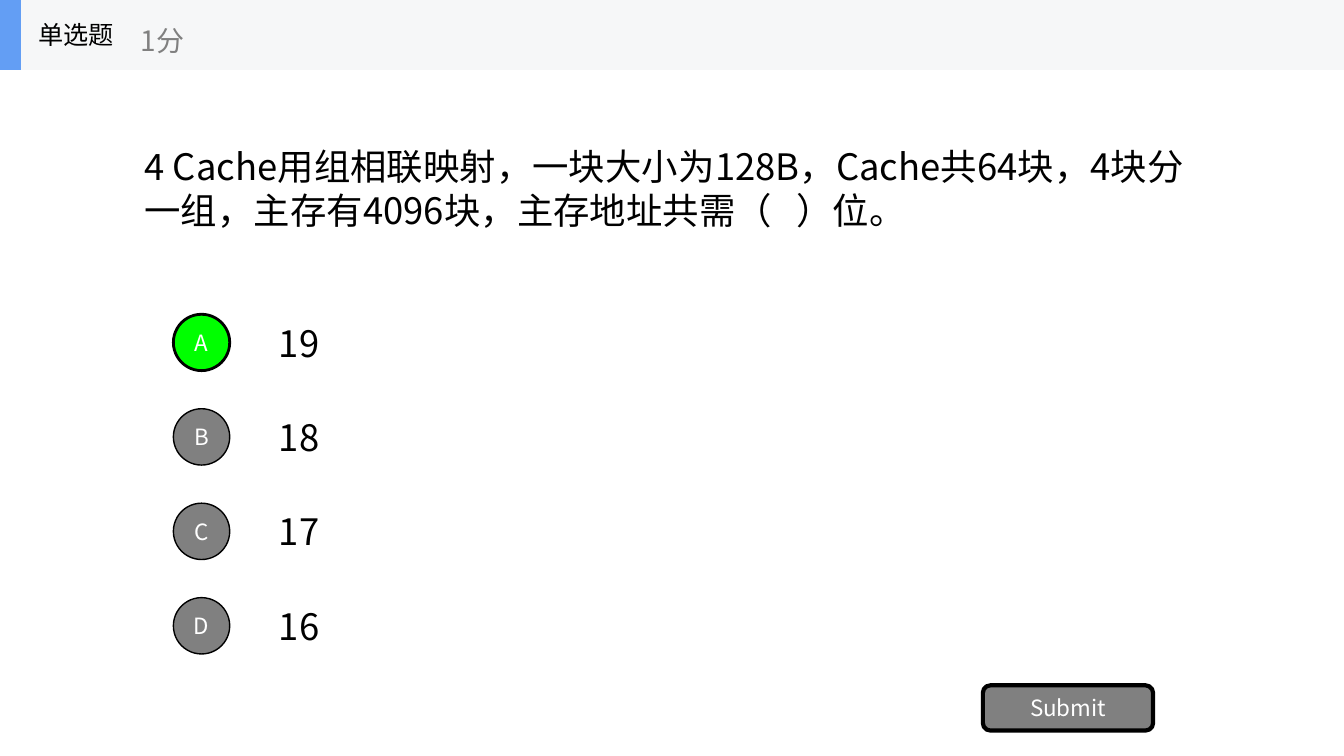
from pptx import Presentation
from pptx.dml.color import RGBColor
from pptx.enum import shapes, text
from pptx.oxml import ns
from pptx.util import Cm, Pt
from lxml import etree

FONT = "Noto Sans CJK SC"
BLACK = RGBColor(0x00, 0x00, 0x00)
WHITE = RGBColor(0xFF, 0xFF, 0xFF)
GREY = RGBColor(0x80, 0x80, 0x80)
GREEN = RGBColor(0x00, 0xFF, 0x00)
BLUE = RGBColor(0x63, 0x9E, 0xF4)
PALE = RGBColor(0xF6, 0xF7, 0xF8)

QUESTION = ("4 Cache用组相联映射，一块大小为128B，Cache共64块，"
            "4块分一组，主存有4096块，主存地址共需（   ）位。")
ANSWERS = {"A": "19", "B": "18", "C": "17", "D": "16"}
CHOSEN = "A"
HEADER_HEIGHT = Cm(1.76)
FIRST_ANSWER_TOP = 7.74
ANSWER_STEP = 2.38


def write(frame, words, size, color, align=text.PP_ALIGN.LEFT):
    frame.word_wrap = True
    frame.auto_size = text.MSO_AUTO_SIZE.NONE
    frame.vertical_anchor = text.MSO_ANCHOR.MIDDLE
    paragraph = frame.paragraphs[0]
    paragraph.text = words
    paragraph.alignment = align
    font = paragraph.font
    font.size = Pt(size)
    font.color.rgb = color
    font.name = FONT
    defaults = paragraph._p.pPr.find(ns.qn("a:defRPr"))
    etree.SubElement(defaults, ns.qn("a:ea"), typeface=FONT)


def add_label(slide, box, words, size, color=BLACK):
    label = slide.shapes.add_textbox(*box)
    write(label.text_frame, words, size, color)


def add_block(slide, kind, box, fill):
    block = slide.shapes.add_shape(kind, *box)
    block.shadow.inherit = False
    block.fill.solid()
    block.fill.fore_color.rgb = fill
    block.line.fill.background()
    return block


def add_button(slide, kind, box, words, fill, border):
    button = add_block(slide, kind, box, fill)
    button.line.color.rgb = BLACK
    button.line.width = Pt(border)
    frame = button.text_frame
    frame.margin_left = frame.margin_right = 0
    frame.margin_top = frame.margin_bottom = 0
    write(frame, words, 16, WHITE, text.PP_ALIGN.CENTER)


def set_question(slide):
    question = slide.shapes.title
    question.left, question.top = Cm(3.39), HEADER_HEIGHT
    question.width, question.height = Cm(27.1), Cm(5.95)
    write(question.text_frame, QUESTION, 26, BLACK)


def add_answers(slide):
    for row, (letter, answer) in enumerate(ANSWERS.items()):
        top = FIRST_ANSWER_TOP + row * ANSWER_STEP
        chosen = letter == CHOSEN
        add_label(slide, (Cm(6.78), Cm(top), Cm(23.7), Cm(1.78)), answer, 26)
        add_button(slide, shapes.MSO_SHAPE.OVAL,
                   (Cm(4.37), Cm(top + 0.18), Cm(1.42), Cm(1.42)), letter,
                   GREEN if chosen else GREY, 2 if chosen else 1)


def add_header(slide, width):
    bar = shapes.MSO_SHAPE.RECTANGLE
    add_block(slide, bar, (0, 0, width, HEADER_HEIGHT), PALE)
    add_block(slide, bar, (0, 0, Cm(0.53), HEADER_HEIGHT), BLUE)
    add_label(slide, (Cm(0.71), 0, Cm(5.28), HEADER_HEIGHT), "单选题", 18)
    add_label(slide, (Cm(3.3), Cm(0.3), Cm(6.35), Cm(1.42)), "1分", 20, GREY)


def main():
    deck = Presentation()
    deck.slide_width, deck.slide_height = Cm(33.87), Cm(19.05)
    slide = deck.slides.add_slide(deck.slide_layouts[5])
    set_question(slide)
    add_answers(slide)
    add_button(slide, shapes.MSO_SHAPE.ROUNDED_RECTANGLE,
               (Cm(24.77), Cm(17.27), Cm(4.29), Cm(1.14)), "Submit", GREY, 3)
    add_header(slide, deck.slide_width)
    deck.save("out.pptx")


if __name__ == "__main__":
    main()
